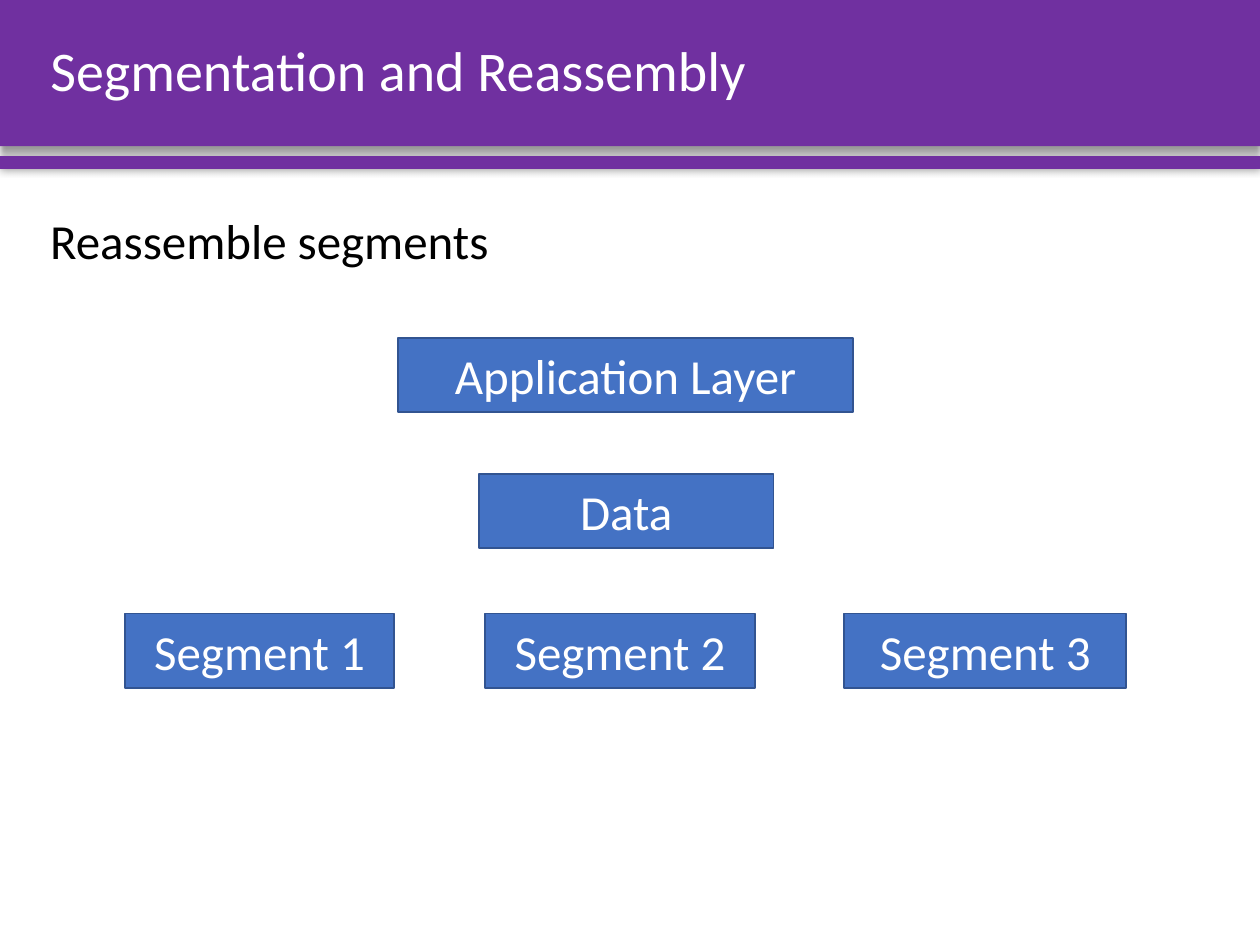
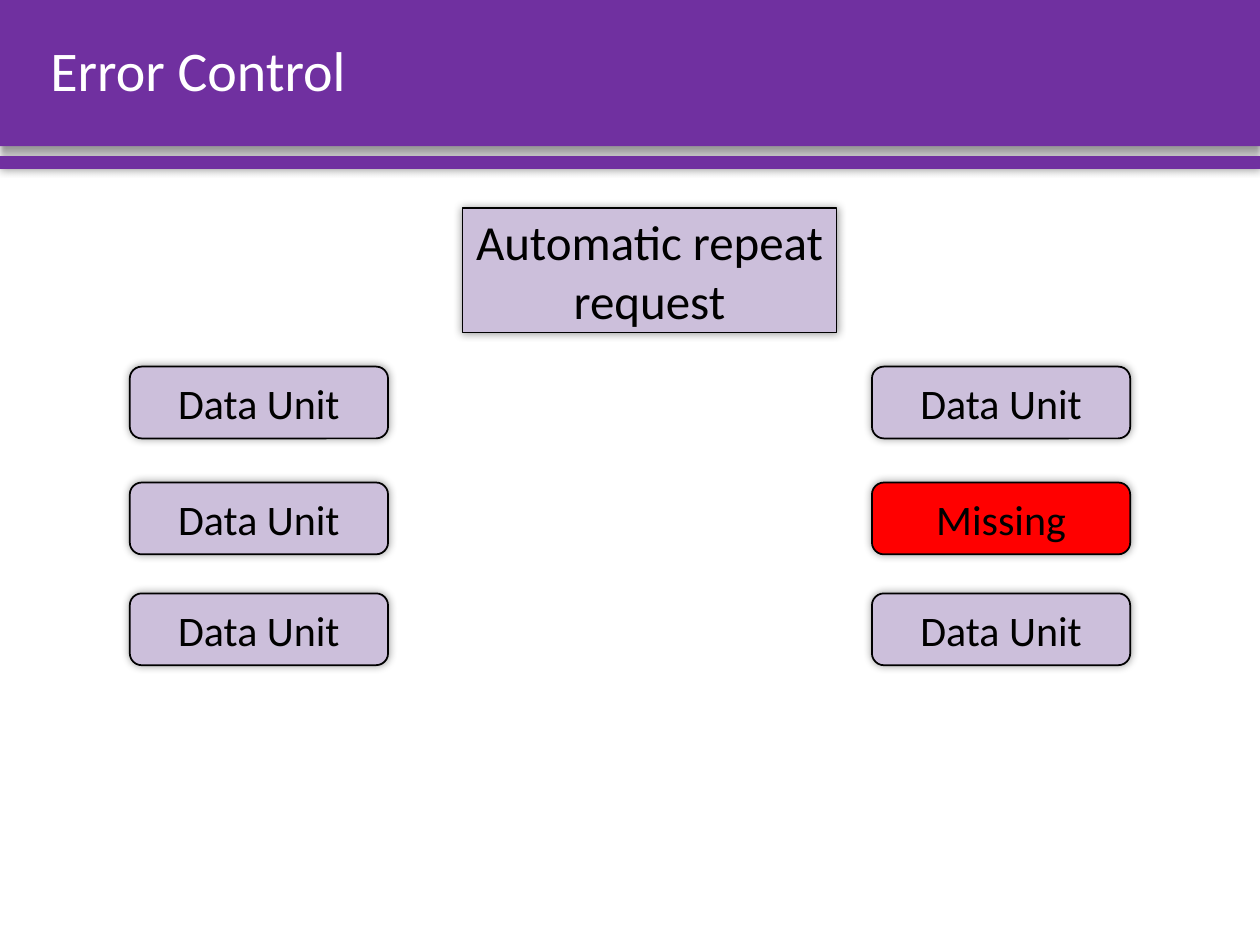
from dataclasses import dataclass

from lxml import etree
from pptx import Presentation
from pptx.dml.color import RGBColor
from pptx.enum.shapes import MSO_SHAPE
from pptx.enum.text import MSO_ANCHOR, MSO_AUTO_SIZE, PP_ALIGN
from pptx.oxml.ns import qn
from pptx.util import Emu, Pt

RECT = MSO_SHAPE.RECTANGLE
ROUND_RECT = MSO_SHAPE.ROUNDED_RECTANGLE
MIDDLE = MSO_ANCHOR.MIDDLE
TOP = MSO_ANCHOR.TOP
LEFT = PP_ALIGN.LEFT
CENTER = PP_ALIGN.CENTER
NO_AUTOFIT = MSO_AUTO_SIZE.NONE

PURPLE = RGBColor(0x70, 0x30, 0xA0)
LAVENDER = RGBColor(0xCC, 0xBF, 0xDB)
RED = RGBColor(0xFF, 0x00, 0x00)
BLUE = RGBColor(0x44, 0x72, 0xC4)
DARK_BLUE = RGBColor(0x32, 0x54, 0x91)
BLACK = RGBColor(0x00, 0x00, 0x00)
WHITE = RGBColor(0xFF, 0xFF, 0xFF)

FONT = "Calibri"
EMU_PER_PX = 9144
SLIDE_W, SLIDE_H = 1000, 750
MARGIN, TEXT_W = 30, 946
TITLE_H = 116
TITLE_ONLY = 5


@dataclass(frozen=True)
class Shadow:
    blur: int
    distance: int = 0
    degrees: int = 0


@dataclass(frozen=True)
class Style:
    fill: RGBColor
    line: RGBColor | None = None
    color: RGBColor = BLACK
    size: int = 28
    shadow: Shadow | None = None
    preset: int = RECT


@dataclass(frozen=True)
class Box:
    x: int
    y: int
    w: int
    h: int
    style: Style
    text: str = ""


GLOW = Shadow(5)
LAYER = Style(BLUE, DARK_BLUE, WHITE)
REQUEST = Style(LAVENDER, BLACK, shadow=GLOW)
UNIT = Style(LAVENDER, BLACK, size=24, shadow=GLOW, preset=ROUND_RECT)
MISSING = Style(RED, BLACK, size=24, shadow=GLOW, preset=ROUND_RECT)

BANDS = [
    Box(0, 0, SLIDE_W, TITLE_H, Style(PURPLE, shadow=Shadow(4, 3, 90))),
    Box(0, 124, SLIDE_W, 10, Style(PURPLE, shadow=GLOW)),
]

LAYER_H = 59
SEGMENT_Y = 487
SEGMENTATION = [
    Box(316, 268, 361, LAYER_H, LAYER, "Application Layer"),
    Box(380, 376, 234, LAYER_H, LAYER, "Data"),
] + [
    Box(x, SEGMENT_Y, w, LAYER_H, LAYER, f"Segment {number}")
    for number, (x, w) in enumerate([(99, 214), (385, 214), (670, 224)], 1)
]

SENDER_X, RECEIVER_X = 103, 692
UNIT_ROWS = (291, 383, 471)
LOST = (RECEIVER_X, UNIT_ROWS[1])


def data_unit(x: int, y: int) -> Box:
    if (x, y) == LOST:
        return Box(x, y, 205, 57, MISSING, "Missing")
    return Box(x, y, 205, 57, UNIT, "Data Unit")


ERROR_CONTROL = [Box(367, 165, 297, 99, REQUEST, "Automatic repeat request")] + [
    data_unit(x, y) for x in (SENDER_X, RECEIVER_X) for y in UNIT_ROWS
]


def px(value: int) -> Emu:
    return Emu(value * EMU_PER_PX)


def add_shadow(sp, shadow: Shadow) -> None:
    effects = sp._element.spPr.find(qn("a:effectLst"))
    outer = etree.SubElement(
        effects,
        qn("a:outerShdw"),
        blurRad=str(Pt(shadow.blur)),
        dist=str(Pt(shadow.distance)),
        dir=str(shadow.degrees * 60000),
        algn="ctr",
        rotWithShape="0",
    )
    color = etree.SubElement(outer, qn("a:srgbClr"), val=str(BLACK))
    etree.SubElement(color, qn("a:alpha"), val="40000")


def write(sp, text: str, size: int, color: RGBColor, align=LEFT,
          anchor=MIDDLE, spacing: float = 1.0) -> None:
    tf = sp.text_frame
    tf.word_wrap = True
    tf.auto_size = NO_AUTOFIT
    tf.vertical_anchor = anchor
    p = tf.paragraphs[0]
    p.alignment = align
    p.line_spacing = spacing
    r = p.add_run()
    r.text = text
    r.font.name = FONT
    r.font.size = Pt(size)
    r.font.color.rgb = color


def add_box(slide, box: Box):
    style = box.style
    sp = slide.shapes.add_shape(
        style.preset, px(box.x), px(box.y), px(box.w), px(box.h)
    )
    sp.fill.solid()
    sp.fill.fore_color.rgb = style.fill
    if style.line is None:
        sp.line.fill.background()
    else:
        sp.line.color.rgb = style.line
        sp.line.width = Pt(1)
    sp.shadow.inherit = False
    if style.shadow:
        add_shadow(sp, style.shadow)
    if box.text:
        write(sp, box.text, style.size, style.color, CENTER)
    return sp


def add_slide(prs, title: str, boxes: list[Box]):
    slide = prs.slides.add_slide(prs.slide_layouts[TITLE_ONLY])
    for band in BANDS:
        add_box(slide, band)
    heading = slide.shapes.title
    heading.left, heading.top = px(MARGIN), px(0)
    heading.width, heading.height = px(TEXT_W), px(TITLE_H)
    write(heading, title, 32, WHITE, spacing=0.9)
    slide.shapes._spTree.append(heading._element)
    for box in boxes:
        add_box(slide, box)
    return slide


def add_body(slide, text: str) -> None:
    sp = slide.shapes.add_textbox(px(MARGIN), px(139), px(TEXT_W), px(86))
    write(sp, text, 28, BLACK, anchor=TOP, spacing=1.5)


def main() -> None:
    prs = Presentation()
    prs.slide_width, prs.slide_height = px(SLIDE_W), px(SLIDE_H)
    segmentation = add_slide(prs, "Segmentation and Reassembly", SEGMENTATION)
    add_body(segmentation, "Reassemble segments")
    add_slide(prs, "Error Control", ERROR_CONTROL)
    prs.save("out.pptx")


if __name__ == "__main__":
    main()
